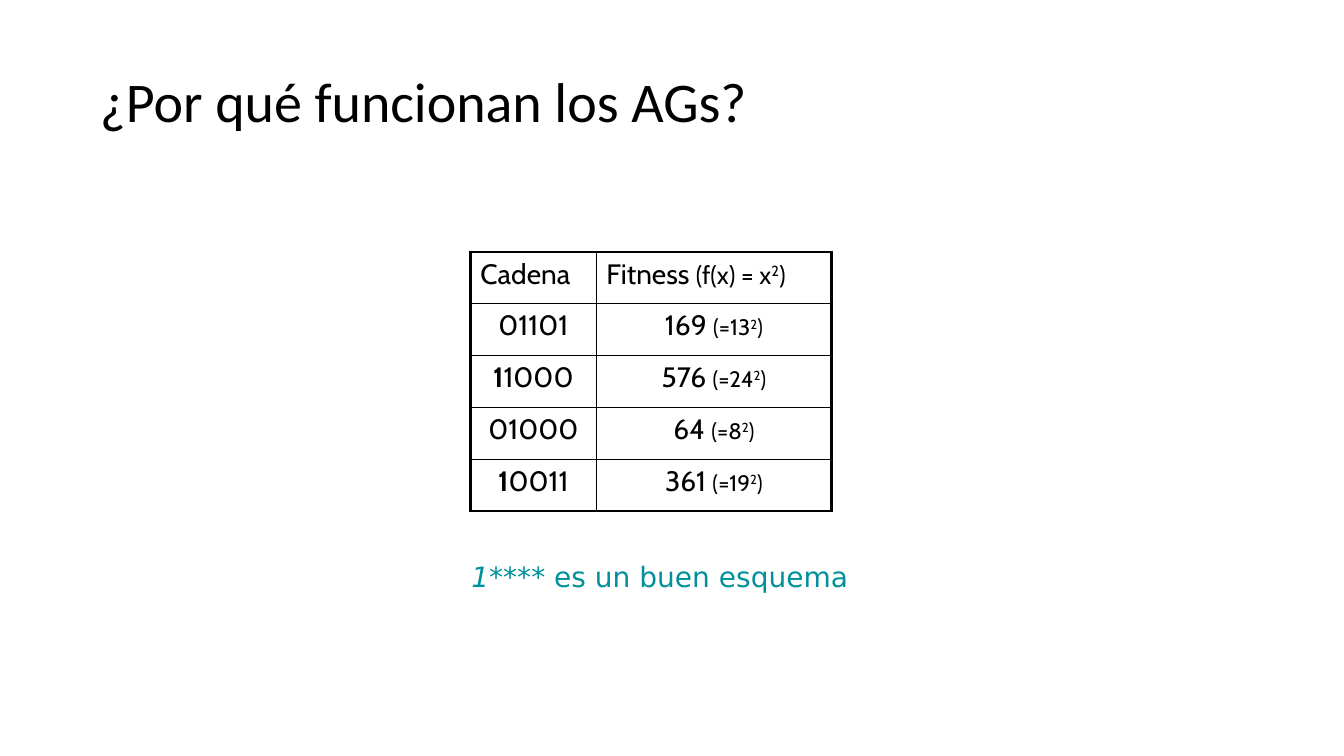
from lxml import etree
from pptx import Presentation
from pptx.dml.color import RGBColor
from pptx.enum.text import MSO_ANCHOR, MSO_AUTO_SIZE, PP_ALIGN
from pptx.oxml.ns import qn
from pptx.util import Inches, Pt

BLACK = RGBColor(0x00, 0x00, 0x00)
TEAL = RGBColor(0x00, 0x91, 0x9A)
LEFT, CENTER = PP_ALIGN.LEFT, PP_ALIGN.CENTER
TOP, MIDDLE = MSO_ANCHOR.TOP, MSO_ANCHOR.MIDDLE
NO_FIT, GROW = MSO_AUTO_SIZE.NONE, MSO_AUTO_SIZE.SHAPE_TO_FIT_TEXT
TITLE_ONLY = 5
GRID_COLUMNS, GRID_ROWS = 160, 90
THIN, THICK = 1, 2.25

TITLE_STYLE = {"name": "Calibri", "size": Pt(40), "bold": False}
TABLE_STYLE = {"name": "Cabin", "size": Pt(20), "bold": False}
NOTE_STYLE = {"name": "DejaVu Sans", "size": Pt(20), "bold": False}
BOLD = {"bold": True}
ITALIC = {"italic": True}
SUPERSCRIPT = "30000"

HEADER = ("Cadena", "Fitness ", "(f(x) = x")
STRINGS = [("01101", 13), ("11000", 24), ("01000", 8), ("10011", 19)]


class SlideBuilder:
    def __init__(self):
        self.presentation = Presentation()
        self.presentation.slide_width = Inches(13.333)
        self.presentation.slide_height = Inches(7.5)
        layout = self.presentation.slide_layouts[TITLE_ONLY]
        self.slide = self.presentation.slides.add_slide(layout)

    def across(self, columns):
        return int(self.presentation.slide_width * columns / GRID_COLUMNS)

    def down(self, rows):
        return int(self.presentation.slide_height * rows / GRID_ROWS)

    def box(self, left, top, width, height):
        return self.across(left), self.down(top), self.across(width), self.down(height)

    def add_runs(self, paragraph, runs, style, color, alignment):
        paragraph.alignment = alignment
        for text, changes in runs:
            run = paragraph.add_run()
            run.text = text
            run.font.color.rgb = color
            for attribute, value in {**style, **changes}.items():
                if attribute == "baseline":
                    run._r.get_or_add_rPr().set(attribute, value)
                else:
                    setattr(run.font, attribute, value)

    def title(self, text, place):
        shape = self.slide.shapes.title
        shape.left, shape.top, shape.width, shape.height = self.box(*place)
        frame = shape.text_frame
        frame.auto_size, frame.vertical_anchor = NO_FIT, MIDDLE
        paragraph = frame.paragraphs[0]
        paragraph.line_spacing = 0.9
        self.add_runs(paragraph, [(text, {})], TITLE_STYLE, BLACK, LEFT)

    def note(self, runs, place):
        frame = self.slide.shapes.add_textbox(*self.box(*place)).text_frame
        frame.word_wrap, frame.auto_size = False, GROW
        self.add_runs(frame.paragraphs[0], runs, NOTE_STYLE, TEAL, CENTER)

    def border(self, cell, side, width):
        properties = cell._tc.get_or_add_tcPr()
        line = etree.SubElement(properties, qn(f"a:ln{side}"), w=str(int(Pt(width))))
        fill = etree.SubElement(line, qn("a:solidFill"))
        etree.SubElement(fill, qn("a:srgbClr"), val=str(BLACK))

    def table(self, rows, corner, column_widths, row_height):
        place = (*corner, sum(column_widths), row_height * len(rows))
        frame = self.slide.shapes.add_table(len(rows), len(column_widths), *self.box(*place))
        table = frame.table
        table.first_row = table.horz_banding = False
        for column, width in zip(table.columns, column_widths):
            column.width = self.across(width)
        last_row, last_column = len(rows) - 1, len(column_widths) - 1
        for row_index, row in enumerate(rows):
            table.rows[row_index].height = self.down(row_height)
            for column_index, runs in enumerate(row):
                cell = table.cell(row_index, column_index)
                edges = {
                    "L": column_index == 0,
                    "R": column_index == last_column,
                    "T": row_index == 0,
                    "B": row_index == last_row,
                }
                for side, outer in edges.items():
                    self.border(cell, side, THICK if outer else THIN)
                cell.fill.background()
                cell.vertical_anchor = TOP
                alignment = CENTER if row_index else LEFT
                self.add_runs(cell.text_frame.paragraphs[0], runs, TABLE_STYLE, BLACK, alignment)


def squared(lead, base, size):
    small = {"size": Pt(size)}
    return [(lead, {}), (base, small), ("2", {**small, "baseline": SUPERSCRIPT}), (")", small)]


def string_runs(string):
    if string.startswith("1"):
        return [(string[0], BOLD), (string[1:], {})]
    return [(string, {})]


def main():
    builder = SlideBuilder()
    builder.title("¿Por qué funcionan los AGs?", (10.7, 6.25, 140, 12.25))
    name, fitness, formula = HEADER
    rows = [[[(name, {})], squared(fitness, formula, 18)]]
    for string, number in STRINGS:
        rows.append([string_runs(string), squared(f"{number ** 2} ", f"(={number}", 16)])
    builder.table(rows, (56, 30), (15, 28), 6.17)
    builder.note([("1****", ITALIC), (" es un buen esquema", {})], (54, 66, 49.1, 5.2))
    builder.presentation.save("out.pptx")


if __name__ == "__main__":
    main()
